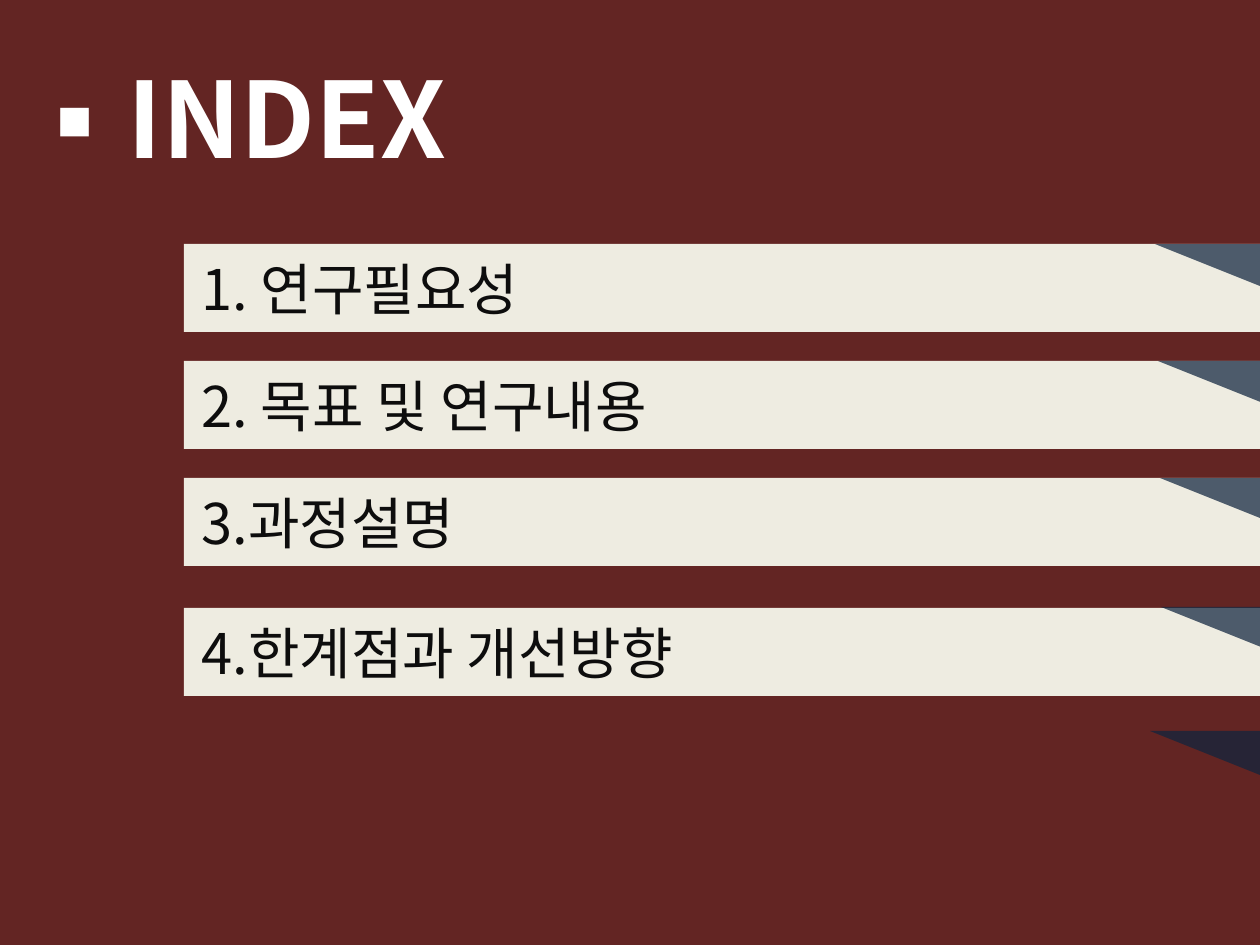
from lxml.etree import SubElement
from pptx import Presentation
from pptx.dml.color import RGBColor
from pptx.enum.shapes import MSO_SHAPE as Shape
from pptx.enum.text import MSO_ANCHOR as Anchor, PP_ALIGN as Align
from pptx.oxml.ns import qn
from pptx.util import Pt

PX = 914400 / 126
FONT = "Noto Sans CJK KR"
MAROON, CREAM, NAVY = "632523", "EEECE1", "0F243E"
WHITE, INK = "FFFFFF", "0D0D0D"


def px(length):
    return round(length * PX)


def paint(fill, color):
    fill.solid()
    fill.fore_color.rgb = RGBColor.from_string(color)


def assign(target, values):
    for name, value in values.items():
        setattr(target, name, value)


class IndexSlide:
    title_font = {"name": FONT, "size": Pt(60), "bold": True}
    item_font = {"name": FONT, "size": Pt(32), "bold": False}
    item_frame = {"word_wrap": True, "vertical_anchor": Anchor.MIDDLE}
    item_frame.update({f"margin_{side}": px(5)
                       for side in ("left", "top", "right", "bottom")})

    def __init__(self, deck):
        self.slide = deck.slides.add_slide(deck.slide_layouts[5])
        paint(self.slide.background.fill, MAROON)

    def add_text(self, frame, text, font, color):
        paragraph = frame.paragraphs[0]
        paragraph.alignment = Align.LEFT
        run = paragraph.add_run()
        run.text = text
        assign(run.font, font)
        paint(run.font.fill, color)
        SubElement(run.font._element, qn("a:ea"), typeface=FONT)
        return paragraph

    def title(self, text, left, top, width, height, indent, bullet):
        heading = self.slide.shapes.title
        assign(heading, {"left": px(left), "top": px(top),
                         "width": px(width), "height": px(height)})
        heading.text_frame.vertical_anchor = Anchor.MIDDLE
        paragraph = self.add_text(heading.text_frame, text, self.title_font, WHITE)
        properties = paragraph._p.get_or_add_pPr()
        properties.set("marL", str(px(indent)))
        properties.set("indent", str(-px(indent)))
        SubElement(properties, qn("a:buFont"), typeface=FONT)
        SubElement(properties, qn("a:buChar"), char=bullet)

    def block(self, kind, left, top, width, height, color):
        block = self.slide.shapes.add_shape(
            kind, px(left), px(top), px(width), px(height))
        block.shadow.inherit = False
        block.line.fill.background()
        paint(block.fill, color)
        return block

    def item(self, text, top):
        bar = self.block(Shape.RECTANGLE, 184, top, 1076, 88, CREAM)
        assign(bar.text_frame, self.item_frame)
        self.add_text(bar.text_frame, text, self.item_font, INK)

    def corner(self, left, top):
        corner = self.block(Shape.RIGHT_TRIANGLE, left, top, 110, 44, NAVY)
        corner.rotation = 180
        color = corner.fill._xPr.find(qn("a:solidFill"))[0]
        SubElement(color, qn("a:alpha"), val="72000")


def main():
    deck = Presentation()
    assign(deck, {"slide_width": px(1260), "slide_height": px(945)})
    index = IndexSlide(deck)
    index.title("INDEX", 10, 38, 1225, 158, indent=78, bullet="▪")

    # Contents bars
    items = {" 1. 연구필요성": 244, " 2. 목표 및 연구내용": 361,
             " 3.과정설명": 478, " 4.한계점과 개선방향": 608}
    for text, top in items.items():
        index.item(text, top)

    # Folded corners, the last one below the bars
    corners = [(1155, 244), (1158, 361), (1160, 478), (1161, 607), (1150, 731)]
    for left, top in corners:
        index.corner(left, top)

    deck.save("out.pptx")


if __name__ == "__main__":
    main()
